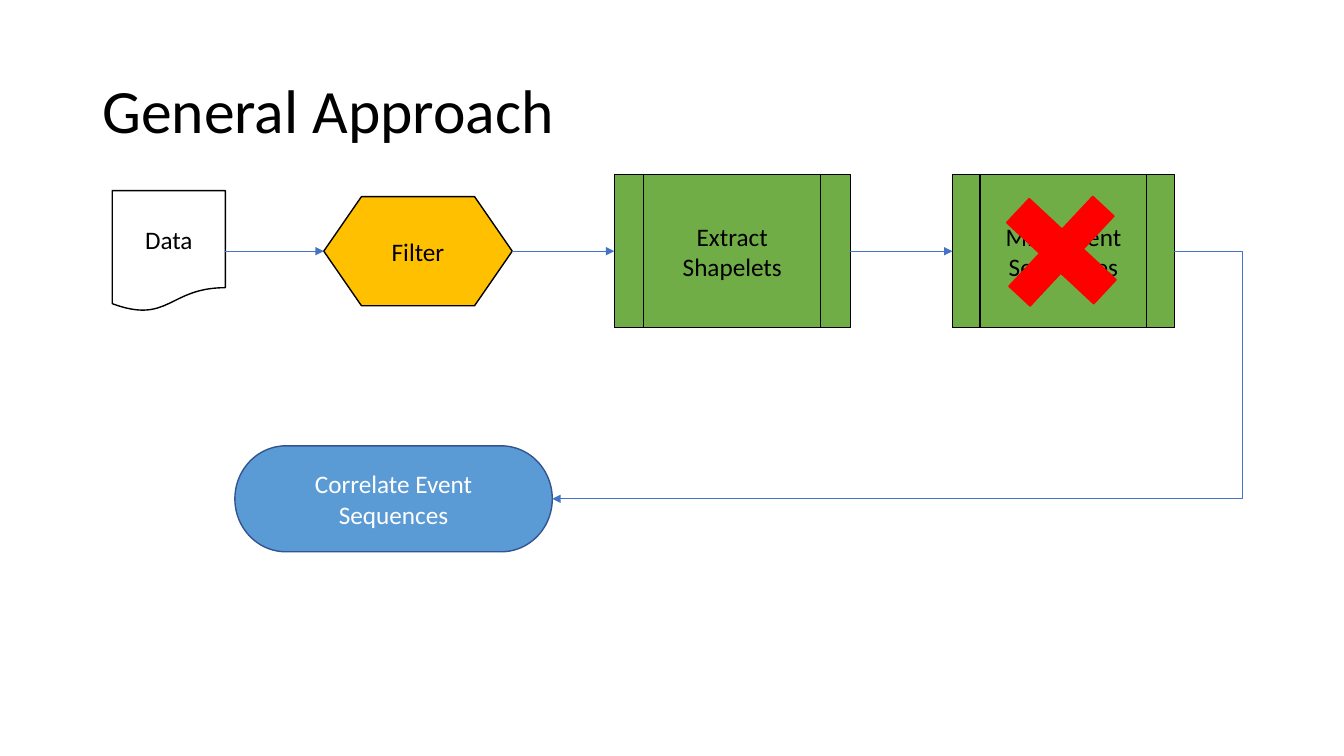
from lxml import etree
from pptx import Presentation
from pptx.dml.color import RGBColor
from pptx.enum.shapes import MSO_CONNECTOR as LINK, MSO_SHAPE as SHAPE
from pptx.enum.text import MSO_ANCHOR as ANCHOR, PP_ALIGN as ALIGN
from pptx.oxml.ns import qn
from pptx.util import Cm, Pt


def color(hex_value):
    return RGBColor.from_string(hex_value)


def style_arrow(arrow):
    arrow.line.color.rgb = color("4472C4")
    arrow.line.width = Pt(0.5)
    head = etree.SubElement(arrow.line._get_or_add_ln(), qn("a:tailEnd"))
    head.set("type", "triangle")
    etree.SubElement(arrow._element.spPr, qn("a:effectLst"))


deck = Presentation()
deck.slide_width, deck.slide_height = Cm(33.87), Cm(19.05)
slide = deck.slides.add_slide(deck.slide_layouts[6])

# Title
title = slide.shapes.add_textbox(Cm(2.33), Cm(1.01), Cm(29.21), Cm(3.68))
title.text_frame.word_wrap = True
title.text_frame.vertical_anchor = ANCHOR.MIDDLE
heading = title.text_frame.paragraphs[0]
heading.text = "General Approach"
heading.line_spacing = 0.9
heading.font.name = "Calibri"
heading.font.size = Pt(44)
heading.font.color.rgb = color("000000")

# Steps, each centred on the height of its row
top_row, bottom_row = 6.33, 12.57
steps = [
    # text, shape, left, row, width, height, fill, outline, text colour
    ("Data", SHAPE.FLOWCHART_DOCUMENT, 2.83, top_row, 2.85, 3.05, None, "000000", "000000"),
    ("Filter", SHAPE.FLOWCHART_PREPARATION, 8.16, top_row, 4.75, 2.75, "FFC000", "000000", "000000"),
    ("Extract Shapelets", SHAPE.FLOWCHART_PREDEFINED_PROCESS, 15.48, top_row, 5.95, 3.86, "70AD47", "000000", "000000"),
    ("Mine Event Sequences", SHAPE.FLOWCHART_PREDEFINED_PROCESS, 24, top_row, 5.6, 3.86, "70AD47", "000000", "000000"),
    ("Correlate Event Sequences", SHAPE.FLOWCHART_TERMINATOR, 5.92, bottom_row, 8, 2.67, "5B9BD5", "325491", "FFFFFF"),
]
boxes = []
for text, kind, left, row, width, height, fill, outline, ink in steps:
    box = slide.shapes.add_shape(kind, Cm(left), Cm(row - height / 2), Cm(width), Cm(height))
    box.shadow.inherit = False
    if fill:
        box.fill.solid()
        box.fill.fore_color.rgb = color(fill)
    else:
        box.fill.background()
    box.line.color.rgb = color(outline)
    box.line.width = Pt(1)
    box.text_frame.word_wrap = True
    box.text_frame.vertical_anchor = ANCHOR.MIDDLE
    label = box.text_frame.paragraphs[0]
    label.text = text
    label.alignment = ALIGN.CENTER
    label.font.name = "Calibri"
    label.font.size = Pt(18)
    label.font.color.rgb = color(ink)
    boxes.append(box)

# Arrows along the top row
data, filtering, extract, mine, correlate = boxes
for before, after in [(data, filtering), (filtering, extract), (extract, mine)]:
    arrow = slide.shapes.add_connector(LINK.STRAIGHT, 0, 0, 0, 0)
    arrow.begin_connect(before, 3)
    arrow.end_connect(after, 1)
    style_arrow(arrow)

# Arrow back to the bottom row, bending out to the right
return_arrow = slide.shapes.add_connector(
    LINK.ELBOW, mine.left + mine.width, Cm(top_row),
    correlate.left + correlate.width, Cm(bottom_row))
bend = etree.SubElement(return_arrow._element.spPr.prstGeom.get_or_add_avLst(), qn("a:gd"))
bend.set("name", "adj1")
bend.set("fmla", "val -10900")
style_arrow(return_arrow)

# Red cross over the mining step
cross = slide.shapes.add_shape(SHAPE.CROSS, Cm(25.25), Cm(4.78), Cm(3), Cm(3.1))
cross.adjustments[0] = 0.378
cross.rotation = 43
cross.shadow.inherit = False
cross.fill.solid()
cross.fill.fore_color.rgb = color("FF0000")
cross.line.color.rgb = color("FF0000")
cross.line.width = Pt(1)

deck.save("out.pptx")
